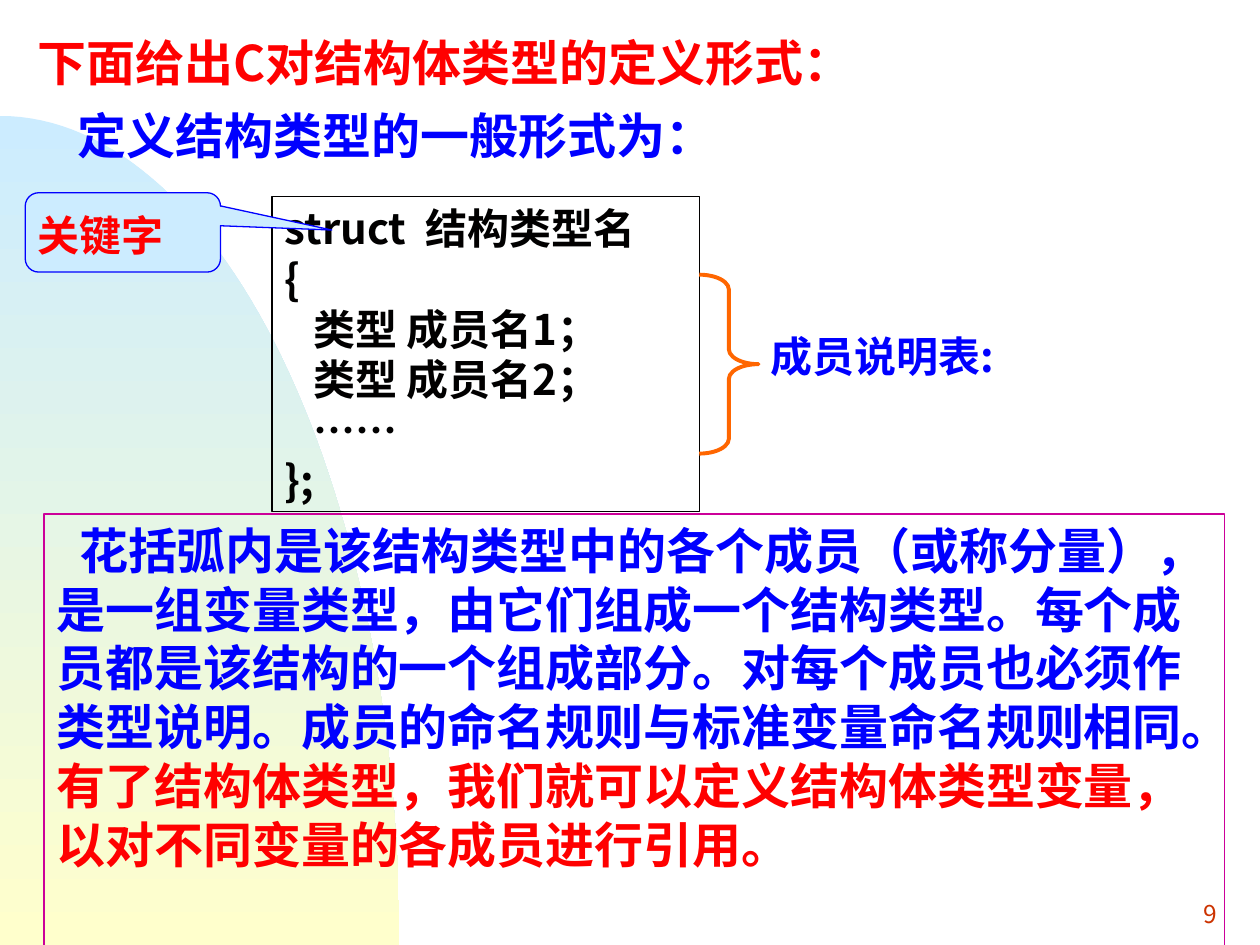
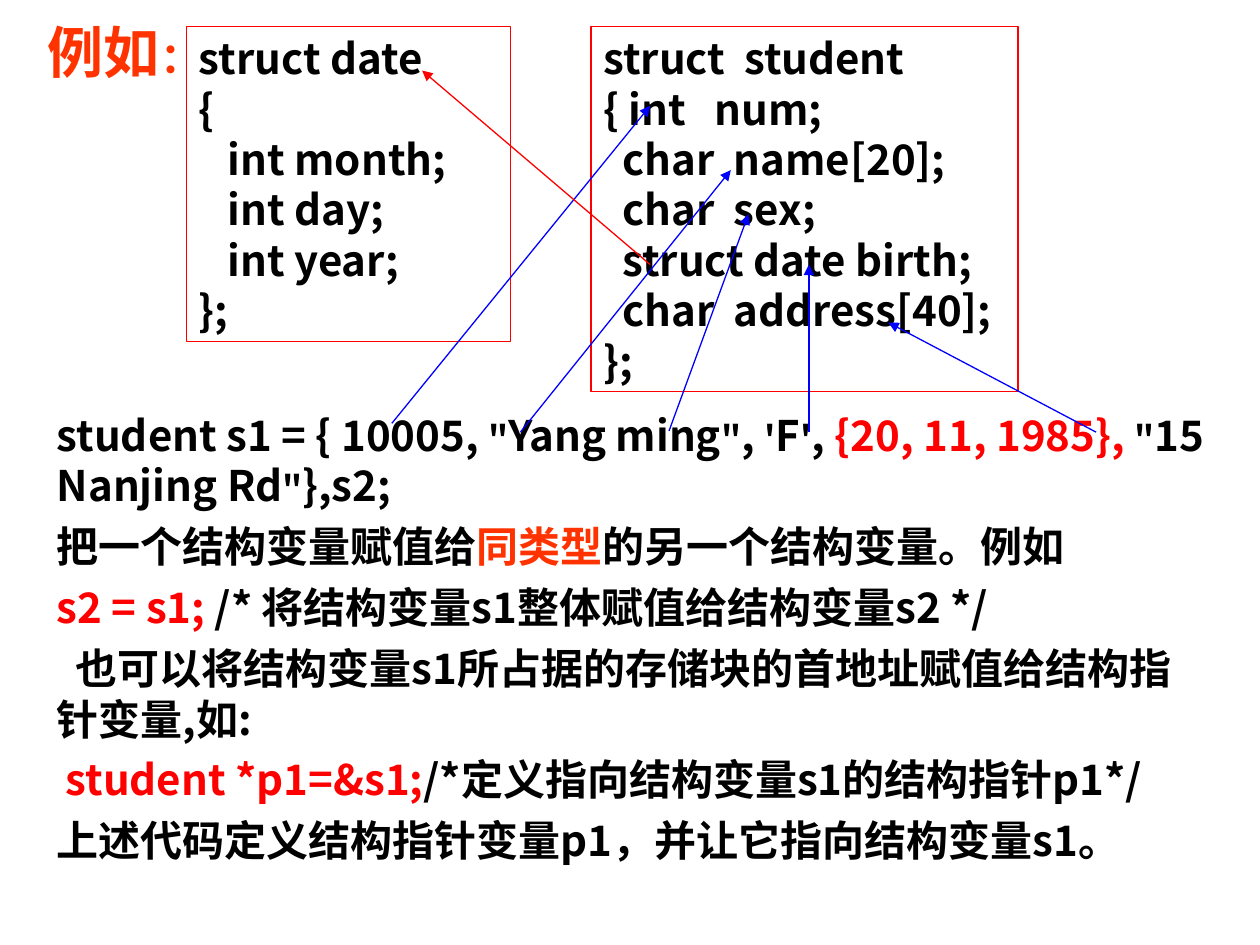
import math
from dataclasses import dataclass
from itertools import groupby

from lxml import etree
from pptx import Presentation
from pptx import util as u
from pptx.dml import color
from pptx.enum import shapes, text
from pptx.oxml import ns


@dataclass(frozen=True)
class Theme:
    font: str = "Noto Sans CJK SC"
    ink: str = "010000"
    red: str = "FF0000"
    blue: str = "0000FF"
    accent: str = "FF3300"
    orange: str = "FF6600"
    magenta: str = "CC0099"
    number: str = "CC3300"
    sky: str = "CCECFF"
    cream: str = "FFFFCC"
    heading: int = 28
    example: int = 32
    body: int = 24
    quote: int = 20
    footer: int = 14
    thin: float = 0.75
    thick: float = 2.25


THEME = Theme()

FORM_TITLE = "下面给出C对结构体类型的定义形式："
FORM_SUBTITLE = "定义结构类型的一般形式为："
FORM_CODE = ["struct  结构类型名", "{", "   类型 成员名1；", "   类型 成员名2；", "   ……", "};"]
FORM_NOTE = [
    ("花括弧内是该结构类型中的各个成员（或称分量），是一组变量类型，由它们组成一个结构类型。"
     "每个成员都是该结构的一个组成部分。对每个成员也必须作类型说明。"
     "成员的命名规则与标准变量命名规则相同。", THEME.blue),
    ("有了结构体类型，我们就可以定义结构体类型变量，以对不同变量的各成员进行引用。", THEME.red),
]
MEMBERS_LABEL = "成员说明表:"
KEYWORD_LABEL = "关键字"
PAGE_NUMBER = "9"

STRUCTS = [
    ((4.69, 0.21, 3.39, 2.9),
     ["struct  student", "{ int   num;", "  char  name[20];", "  char  sex;",
      "  struct date birth;", "  char  address[40];", "};"]),
    ((1.48, 0.21, 2.57, 2.5),
     ["struct date", "{", "   int month;", "   int day;", "   int year;", "};"]),
]
EXPLANATION = [
    (0, [("student s1 = { 10005, \"Yang ming\", 'F', ", THEME.ink),
         ("{20, 11, 1985}, ", THEME.red),
         ("\"15 Nanjing Rd\"},s2;", THEME.ink)]),
    (0, [("把一个结构变量赋值给", THEME.ink), ("同类型", THEME.accent),
         ("的另一个结构变量。例如", THEME.ink)]),
    (0, [("s2 = s1;", THEME.red), (" /* 将结构变量s1整体赋值给结构变量s2 */", THEME.ink)]),
    (0.15, [("也可以将结构变量s1所占据的存储块的首地址赋值给结构指针变量,如:", THEME.ink)]),
    (0.07, [("student *p1=&s1;", THEME.red),
            ("/*定义指向结构变量s1的结构指针p1*/", THEME.ink)]),
    (0, [("上述代码定义结构指针变量p1，并让它指向结构变量s1。", THEME.ink)]),
]
ARROWS = [
    ((3.11, 3.36), (5.16, 0.84), THEME.blue),
    ((5.31, 3.42), (5.94, 1.7), THEME.blue),
    ((6.42, 3.43), (6.42, 2.1), THEME.blue),
    ((8.7, 3.43), (7.05, 2.56), THEME.blue),
    ((4.13, 3.43), (5.8, 1.35), THEME.blue),
    ((5.16, 2.1), (3.35, 0.56), THEME.red),
]


def rgb(value):
    return color.RGBColor.from_string(value)


def inches(values):
    return [u.Inches(value) for value in values]


def add_span(para, words, tint, size, bold=True):
    span = para.add_run()
    span.text = words
    span.font.size = u.Pt(size)
    span.font.bold = bold
    span.font.color.rgb = rgb(tint)
    span.font.name = THEME.font
    etree.SubElement(span.font._element, ns.qn("a:ea"), typeface=THEME.font)


def set_frame(box, wrap=True, anchor=text.MSO_ANCHOR.TOP):
    frame = box.text_frame
    frame.word_wrap = wrap
    frame.auto_size = text.MSO_AUTO_SIZE.NONE
    frame.vertical_anchor = anchor
    frame.margin_left = frame.margin_right = u.Inches(0.1)
    frame.margin_top = frame.margin_bottom = u.Inches(0.05)
    return frame


def start_para(frame, index=0, align=text.PP_ALIGN.LEFT, indent=0):
    para = frame.add_paragraph() if index else frame.paragraphs[0]
    para.alignment = align
    properties = para._p.get_or_add_pPr()
    properties.set("marL", "0")
    properties.set("indent", str(u.Inches(indent)))
    etree.SubElement(properties, ns.qn("a:buNone"))
    return para


def place(holder, area):
    holder.left, holder.top, holder.width, holder.height = inches(area)
    return holder


def add_label(page, area, words, tint, size, wrap=True):
    box = page.shapes.add_textbox(*inches(area))
    add_span(start_para(set_frame(box, wrap)), words, tint, size)


def add_outline(page, kind, area, line, width=THEME.thin):
    shape = page.shapes.add_shape(kind, *inches(area))
    shape.shadow.inherit = False
    shape.fill.background()
    shape.line.color.rgb = rgb(line)
    shape.line.width = u.Pt(width)
    return shape


def add_code_box(page, area, lines, line):
    frame = set_frame(add_outline(page, shapes.MSO_SHAPE.RECTANGLE, area, line))
    for index, words in enumerate(lines):
        add_span(start_para(frame, index), words, THEME.ink, THEME.body)


def add_quarter_ellipse(page, top=0.92, width=3.17, bottom=7.5, steps=60):
    angles = [math.pi / 2 * step / steps for step in range(1, steps + 1)]
    curve = [(width * math.sin(angle), bottom - (bottom - top) * math.cos(angle))
             for angle in angles]
    builder = page.shapes.build_freeform(0, u.Inches(top))
    builder.add_line_segments([inches(point) for point in curve + [(0, bottom)]])
    shape = builder.convert_to_shape()
    shape.shadow.inherit = False
    shape.line.fill.background()
    shape.fill.gradient()
    shape.fill.gradient_angle = 270
    for stop, tint in zip(shape.fill.gradient_stops, (THEME.sky, THEME.cream)):
        stop.color.rgb = rgb(tint)


def add_arrow(page, start, end, tint):
    arrow = page.shapes.add_connector(shapes.MSO_CONNECTOR.STRAIGHT, *inches(start + end))
    arrow.line.color.rgb = rgb(tint)
    arrow.line.width = u.Pt(THEME.thin)
    etree.SubElement(arrow.line._get_or_add_ln(), ns.qn("a:tailEnd"), type="triangle")
    etree.SubElement(arrow._element.spPr, ns.qn("a:effectLst"))


def build_form_page(deck):
    page = deck.slides.add_slide(deck.slide_layouts[5])
    add_quarter_ellipse(page)

    number = page.shapes.add_textbox(*inches((7.68, 7, 2.08, 0.5)))
    frame = set_frame(number, False, text.MSO_ANCHOR.MIDDLE)
    add_span(start_para(frame, align=text.PP_ALIGN.RIGHT),
             PAGE_NUMBER, THEME.number, THEME.footer, False)

    title = place(page.shapes.title, (0.2, 0.21, 8.5, 0.57))
    add_span(start_para(set_frame(title)), FORM_TITLE, THEME.red, THEME.heading)
    add_label(page, (0.52, 0.79, 5.25, 0.57), FORM_SUBTITLE, THEME.blue, THEME.heading, False)
    add_code_box(page, (2.16, 1.56, 3.39, 2.5), FORM_CODE, THEME.ink)

    note = add_outline(page, shapes.MSO_SHAPE.RECTANGLE, (0.35, 4.08, 9.37, 3.47), THEME.magenta)
    para = start_para(set_frame(note), indent=0.18)
    for words, tint in FORM_NOTE:
        add_span(para, words, tint, THEME.heading)

    brace = add_outline(page, shapes.MSO_SHAPE.RIGHT_BRACE, (5.55, 2.18, 0.47, 1.42),
                        THEME.orange, THEME.thick)
    brace.adjustments[0] = 0.25
    add_label(page, (6.02, 2.57, 2.28, 1.11), MEMBERS_LABEL, THEME.blue, THEME.body)

    callout = add_outline(page, shapes.MSO_SHAPE.ROUNDED_RECTANGULAR_CALLOUT,
                          (0.2, 1.53, 1.55, 0.63), THEME.blue)
    callout.fill.solid()
    callout.fill.fore_color.rgb = rgb(THEME.sky)
    for index, value in enumerate((1.07, -0.03, 0.17)):
        callout.adjustments[index] = value
    add_label(page, (0.2, 1.61, 1.65, 0.5), KEYWORD_LABEL, THEME.red, THEME.body)


def build_example_page(deck):
    page = deck.slides.add_slide(deck.slide_layouts[1])
    title = place(page.shapes.title, (0.28, 0.09, 1.42, 0.64))
    para = start_para(set_frame(title, False))
    add_span(para, "例如", THEME.accent, THEME.example)
    add_span(para, "：", THEME.accent, THEME.body)

    frame = set_frame(place(page.placeholders[1], (0.35, 3.2, 9.37, 3.79)))
    for index, (indent, spans) in enumerate(EXPLANATION):
        para = start_para(frame, index, indent=indent)
        para.space_before = u.Pt(6 if index else 0)
        for words, tint in spans:
            for quoted, letters in groupby(words, lambda letter: letter in "\"'"):
                add_span(para, "".join(letters), tint, THEME.quote if quoted else THEME.body)

    for area, lines in STRUCTS:
        add_code_box(page, area, lines, THEME.red)
    for start, end, tint in ARROWS:
        add_arrow(page, start, end, tint)


def main():
    deck = Presentation()
    deck.slide_width, deck.slide_height = inches((10, 7.5))
    build_form_page(deck)
    build_example_page(deck)
    deck.save("out.pptx")


if __name__ == "__main__":
    main()
